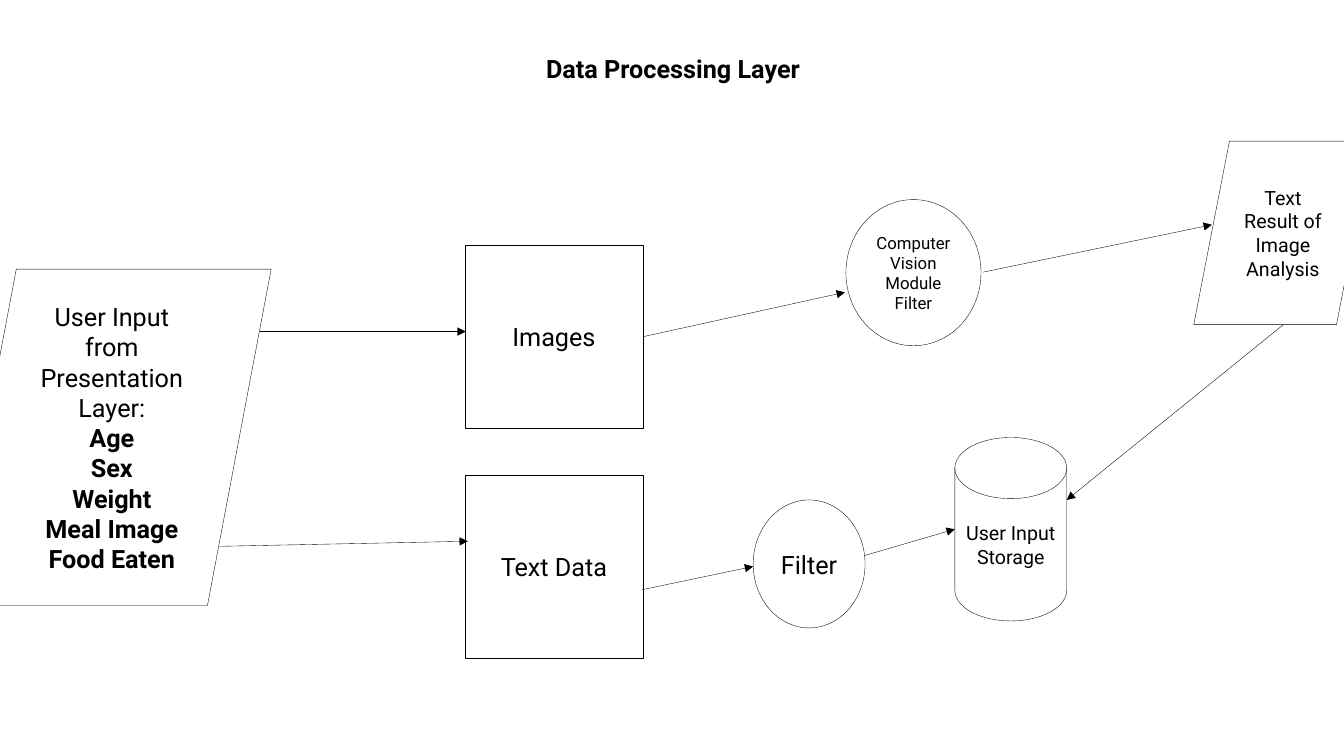
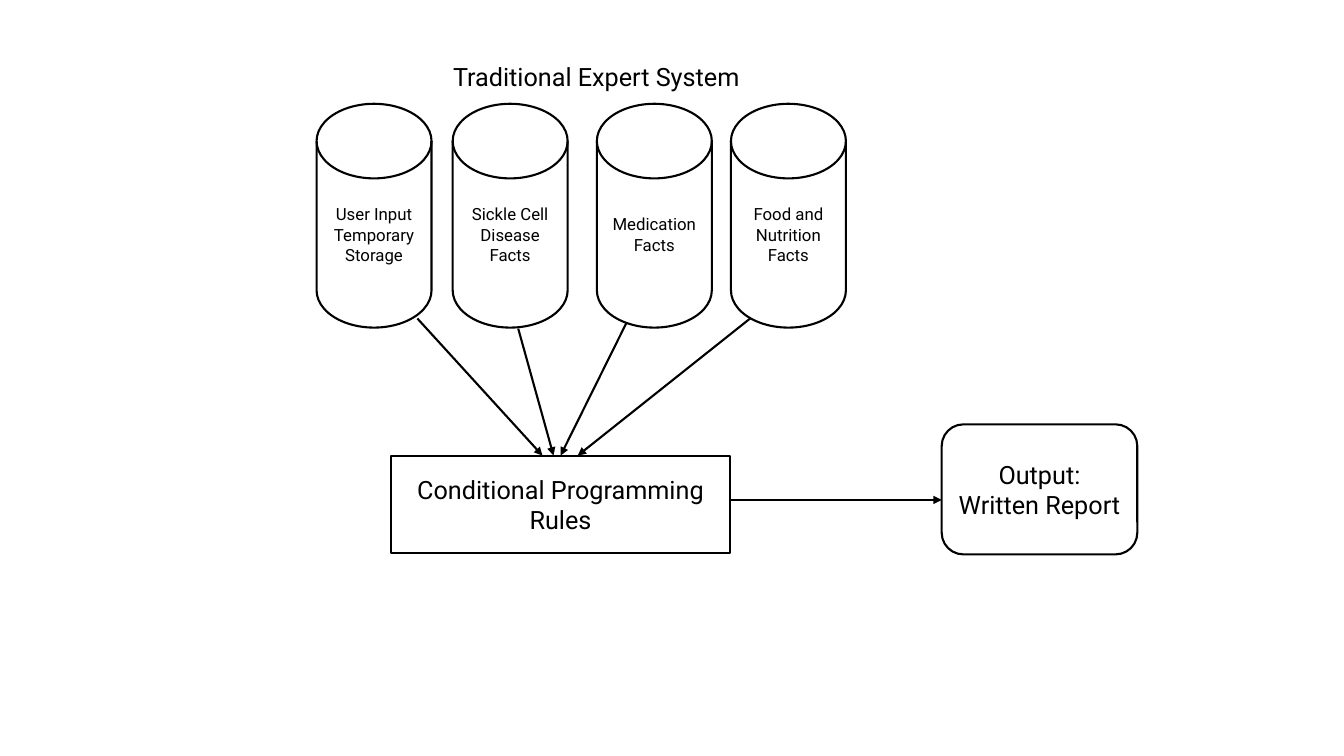
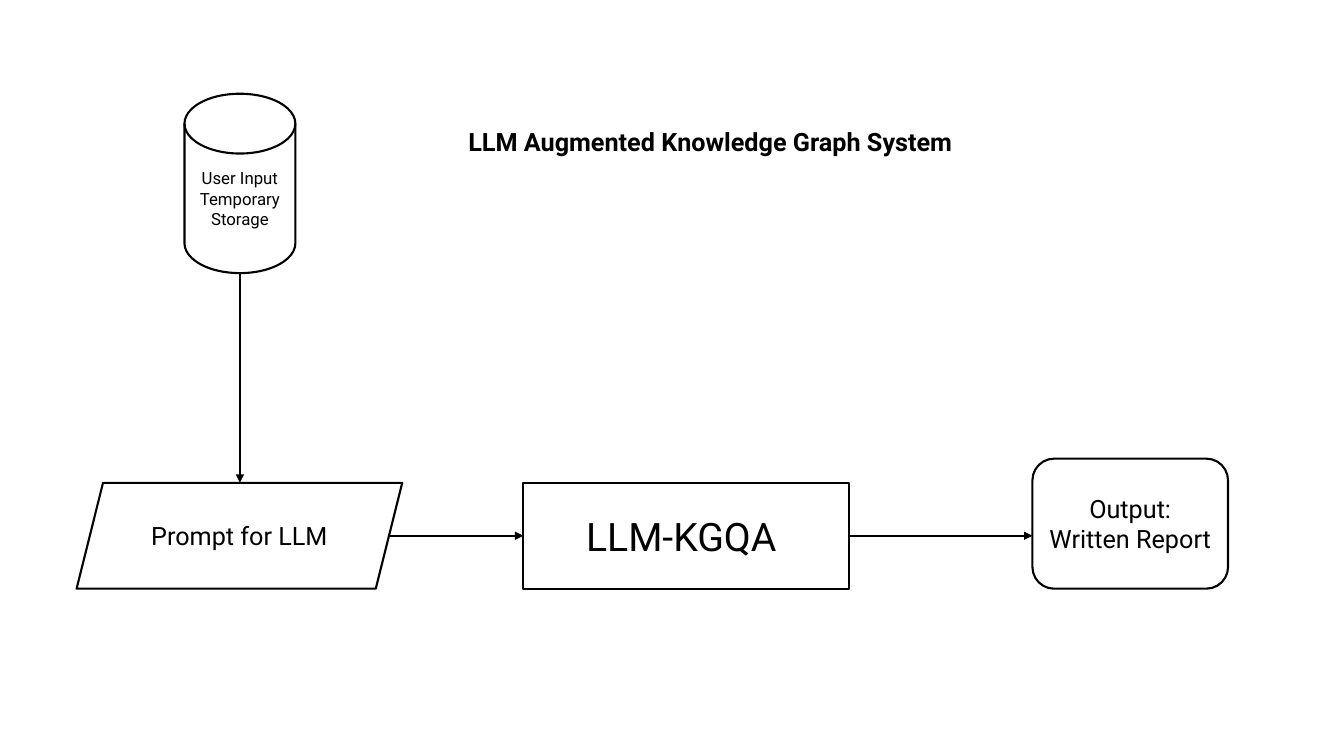
from pptx import Presentation
from pptx import util as u
from pptx.dml.color import RGBColor
from pptx.enum import shapes, text
from pptx.oxml import parse_xml
from pptx.oxml.ns import nsdecls, qn

THEME = {
    "ink": RGBColor(0, 0, 0),
    "paper": RGBColor(255, 255, 255),
    "font": "Roboto",
    "hero": 28,
    "body": 18,
    "label": 14,
    "small": 12,
    "hairline": 0.25,
    "outline": 1.5,
}
KIND = shapes.MSO_SHAPE
LEFT, RIGHT = 1, 3


def write_text(shape, lines, size, bold_from, anchor):
    frame = shape.text_frame
    for name, value in {"word_wrap": True, "vertical_anchor": anchor}.items():
        setattr(frame, name, value)
    for index, line in enumerate(lines):
        para = frame.paragraphs[0] if index == 0 else frame.add_paragraph()
        para.alignment = text.PP_ALIGN.CENTER
        span = para.add_run()
        span.text = line
        span.font.color.rgb = THEME["ink"]
        formats = {"name": THEME["font"], "size": u.Pt(THEME[size]), "bold": index >= bold_from}
        for name, value in formats.items():
            setattr(span.font, name, value)


def draw_line(shape, weight):
    shape.line.color.rgb = THEME["ink"]
    shape.line.width = u.Pt(THEME[weight])


PLAIN = 99
report = ["Output:", "Written Report"]
storage = ["User Input Temporary Storage"]
user_input = ["User Input from Presentation Layer:", "Age", "Sex", "Weight", "Meal Image", "Food Eaten"]
fact_stores = {
    3.14: storage,
    4.49: ["Sickle Cell Disease Facts"],
    5.92: ["Medication Facts"],
    7.25: ["Food and Nutrition Facts"],
}
row_top, row_height = 4.79, 1.05
row_middle = row_top + row_height / 2

pages = [
    {
        "title": ("Data Processing Layer", (4.49, 0.48, 4.37, 0.4), 0),
        "weight": "hairline",
        "nodes": [
            (KIND.FLOWCHART_DATA, (-0.47, 2.67, 3.16, 3.34), "body", user_input, 1),
            (KIND.RECTANGLE, (4.61, 2.43, 1.77, 1.82), "body", ["Images"], PLAIN),
            (KIND.RECTANGLE, (4.61, 4.71, 1.77, 1.82), "body", ["Text Data"], PLAIN),
            (KIND.FLOWCHART_MAGNETIC_DISK, (9.47, 4.34, 1.11, 1.82), "label", ["User Input Storage"], PLAIN),
            (KIND.OVAL, (8.39, 1.98, 1.34, 1.45), "small", ["Computer Vision Module Filter"], PLAIN),
            (KIND.FLOWCHART_DATA, (11.84, 1.4, 1.77, 1.82), "label", ["Text Result of Image Analysis"], PLAIN),
            (KIND.OVAL, (7.47, 4.96, 1.11, 1.27), "body", ["Filter"], PLAIN),
        ],
        "arrows": [
            ((12.73, 3.22), (10.58, 4.96), None, None),
            ((9.75, 2.7), (12.02, 2.23), None, None),
            ((6.38, 3.34), (8.38, 2.9), "Images", None),
            ((2.58, 3.29), (4.62, 3.29), None, None),
            ((2.18, 5.42), (4.64, 5.37), None, None),
            ((6.37, 5.85), (7.47, 5.62), None, None),
            ((8.58, 5.51), (9.47, 5.25), None, None),
        ],
    },
    {
        "title": ("Traditional Expert System", (4.15, 0.56, 3.53, 0.31), PLAIN),
        "weight": "outline",
        "nodes": [
            (KIND.FLOWCHART_MAGNETIC_DISK, (left, 1.03, 1.14, 2.22), "small", lines, PLAIN)
            for left, lines in fact_stores.items()
        ] + [
            (KIND.RECTANGLE, (3.88, 4.52, 3.36, 0.97), "body", ["Conditional Programming Rules"], PLAIN),
            (KIND.FLOWCHART_ALTERNATE_PROCESS, (9.34, 4.21, 1.94, 1.29), "body", report, PLAIN),
        ],
        "arrows": [
            ((4.14, 3.16), (5.38, 4.52), None, None),
            ((7.44, 3.16), (5.73, 4.52), None, None),
            ((5.14, 3.26), (5.49, 4.52), None, None),
            ((6.21, 3.21), (5.56, 4.52), None, None),
            ((7.25, 4.96), (9.34, 4.96), None, None),
        ],
    },
    {
        "title": ("LLM Augmented Knowledge Graph System", (3.99, 1.2, 6.11, 0.4), 0),
        "weight": "outline",
        "nodes": [
            (KIND.FLOWCHART_MAGNETIC_DISK, (1.83, 0.93, 1.1, 1.78), "small", storage, PLAIN),
            (KIND.PARALLELOGRAM, (0.76, row_top, 3.23, row_height), "body", ["Prompt for LLM"], PLAIN),
            (KIND.RECTANGLE, (5.19, row_top, 3.23, row_height), "hero", ["LLM-KGQA "], PLAIN),
            (KIND.FLOWCHART_ALTERNATE_PROCESS, (10.24, 4.55, 1.94, 1.29), "body", report, PLAIN),
        ],
        "arrows": [
            ((2.38, 2.71), (2.38, row_top), None, None),
            ((3.86, row_middle), (5.19, row_middle), None, "LLM-KGQA "),
            ((8.42, row_middle), (10.24, row_middle), "LLM-KGQA ", None),
        ],
    },
]

deck = Presentation()
deck.slide_width, deck.slide_height = u.Inches(13.33), u.Inches(7.5)

for content in pages:
    page = deck.slides.add_slide(deck.slide_layouts[6])
    nodes = {}
    for kind, place, size, lines, bold_from in content["nodes"]:
        box = page.shapes.add_shape(kind, *map(u.Inches, place))
        box.shadow.inherit = False
        box.fill.solid()
        box.fill.fore_color.rgb = THEME["paper"]
        draw_line(box, content["weight"])
        write_text(box, lines, size, bold_from, text.MSO_ANCHOR.MIDDLE)
        nodes[lines[0]] = box

    for start, end, source, target in content["arrows"]:
        arrow = page.shapes.add_connector(shapes.MSO_CONNECTOR.STRAIGHT, *map(u.Inches, start + end))
        if source:
            arrow.begin_connect(nodes[source], RIGHT)
        if target:
            arrow.end_connect(nodes[target], LEFT)
        draw_line(arrow, content["weight"])
        properties = arrow._element.spPr
        properties.find(qn("a:ln")).append(parse_xml(f'<a:tailEnd {nsdecls("a")} type="triangle"/>'))
        properties.append(parse_xml(f'<a:effectLst {nsdecls("a")}/>'))

    title, place, bold_from = content["title"]
    heading = page.shapes.add_textbox(*map(u.Inches, place))
    write_text(heading, [title], "body", bold_from, text.MSO_ANCHOR.TOP)

deck.save("out.pptx")
